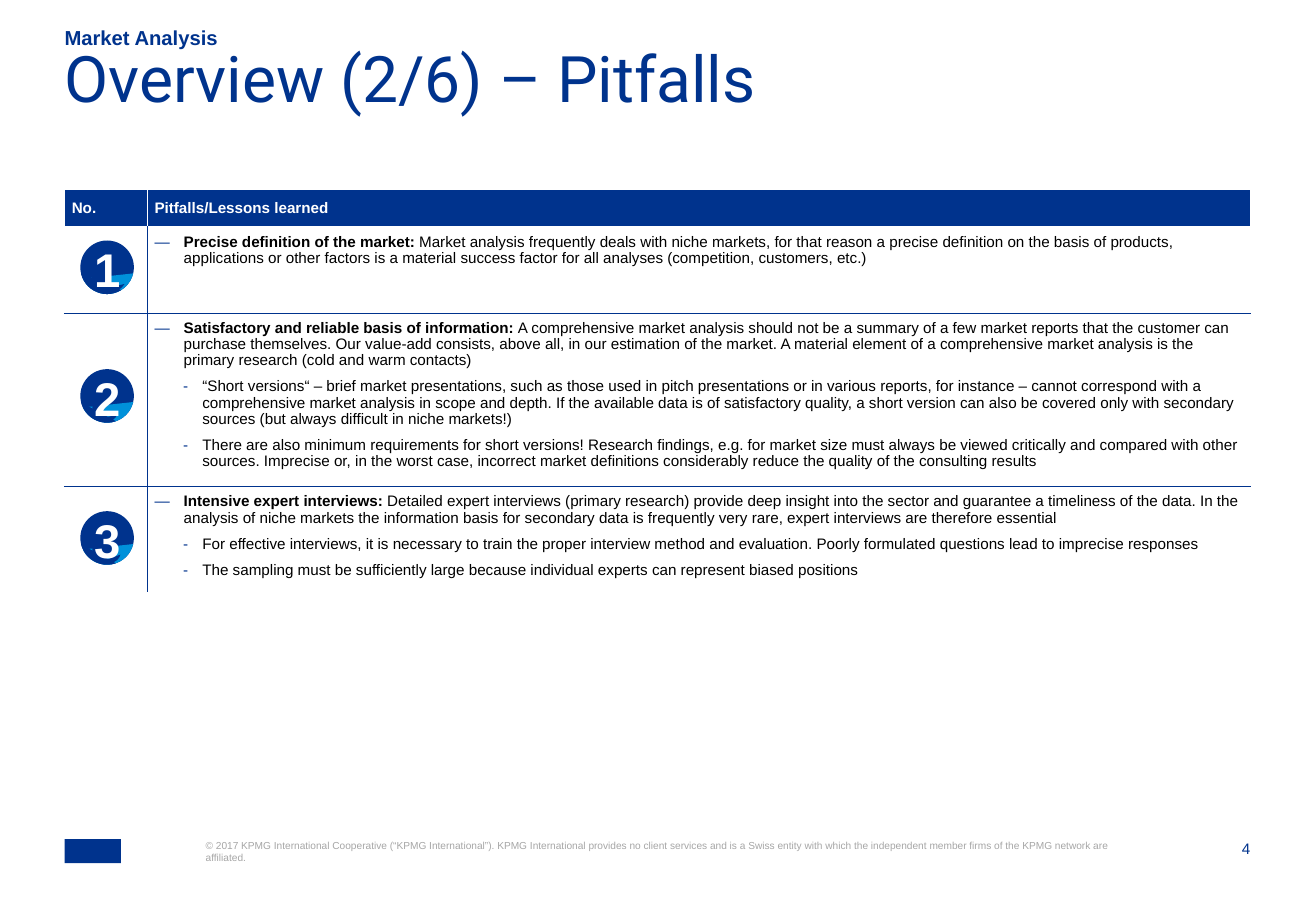
from lxml import etree
from pptx import Presentation
from pptx import util as u
from pptx.dml.color import RGBColor
from pptx.enum import shapes, text
from pptx.oxml import ns

NAVY = RGBColor(0x00, 0x33, 0x8D)
SKY = RGBColor(0x00, 0x91, 0xDA)
GREY = RGBColor(0xA6, 0xA6, 0xA6)
BLACK = RGBColor(0, 0, 0)
WHITE = RGBColor(255, 255, 255)

LEFT, WIDTH = 1.35, 24.79
COLUMN_WIDTHS = [1.73, 23.06]
ROW_HEIGHTS = [0.79, 1.8, 3.42, 2.21]
HEADINGS = ["No.", "Pitfalls/Lessons learned"]

# Each pitfall: bold lead, explanation, sub-points
PITFALLS = [
    ("Precise definition of the market: ",
     "Market analysis frequently deals with niche markets, for that reason a precise definition on the basis of "
     "products, applications or other factors is a material success factor for all analyses (competition, "
     "customers, etc.)", []),
    ("Satisfactory and reliable basis of information: ",
     "A comprehensive market analysis should not be a summary of a few market reports that the customer can "
     "purchase themselves. Our value-add consists, above all, in our estimation of the market. A material element "
     "of a comprehensive market analysis is the primary research (cold and warm contacts)",
     ["“Short versions“ – brief market presentations, such as those used in pitch presentations or in various "
      "reports, for instance – cannot correspond with a comprehensive market analysis in scope and depth. If the "
      "available data is of satisfactory quality, a short version can also be covered only with secondary sources "
      "(but always difficult in niche markets!)",
      "There are also minimum requirements for short versions! Research findings, e.g. for market size must always "
      "be viewed critically and compared with other sources. Imprecise or, in the worst case, incorrect market "
      "definitions considerably reduce the quality of the consulting results"]),
    ("Intensive expert interviews: ",
     "Detailed expert interviews (primary research) provide deep insight into the sector and guarantee a timeliness "
     "of the data. In the analysis of niche markets the information basis for secondary data is frequently very "
     "rare, expert interviews are therefore essential",
     ["For effective interviews, it is necessary to train the proper interview method and evaluation. Poorly "
      "formulated questions lead to imprecise responses",
      "The sampling must be sufficiently large because individual experts can represent biased positions"]),
]

# Each badge: top, start angle of the dark side, corners of the digit's mask,
# then box, rotation and start angle of the lower mask
BADGES = [
    (5.03, 58.23, [(0.25, 0.13), (0.64, 0.13), (0.64, 0.91), (0.25, 0.91)],
     (0.13, 0.25, 0.86, 0.86), 315, 77.05),
    (7.72, 70.86, [(0.25, 0.13), (0.74, 0.15), (0.46, 0.91), (0.25, 0.91)],
     (0.13, 0.38, 0.58, 0.79), 306.1, 81.95),
    (10.69, 71, [(0.25, 0.13), (0.66, 0.15), (0.66, 0.89), (0.25, 0.91)],
     (0.18, 0.38, 0.58, 0.79), 298, 81.95),
]


def apply(target, values):
    for name, value in values.items():
        setattr(target, name, value)


def add_span(para, words, size, color, bold=False, font="Arial"):
    span = para.add_run()
    span.text = words
    apply(span.font, {"name": font, "size": u.Pt(size), "bold": bold})
    span.font.color.rgb = color


def add_text(page, box, words, size, color, para_format=None, frame_format=None, **font):
    frame = page.shapes.add_textbox(*map(u.Cm, box)).text_frame
    apply(frame, {"word_wrap": True, "margin_left": 0, "margin_right": 0,
                  "margin_top": 0, "margin_bottom": 0, **(frame_format or {})})
    para = frame.paragraphs[0]
    apply(para, para_format or {})
    add_span(para, words, size, color, **font)


def paint(shape, color):
    shape.shadow.inherit = False
    shape.fill.solid()
    shape.fill.fore_color.rgb = color
    shape.line.fill.background()


def add_filled(page, kind, box, color, angles=(), rotation=0):
    shape = page.shapes.add_shape(kind, *map(u.Cm, box))
    paint(shape, color)
    shape.rotation = rotation
    for index, angle in enumerate(angles):
        shape.adjustments[index] = angle * 0.6  # degrees to adjustment units
    return shape


def add_bullet(para, mark, margin, hanging):
    props = para._p.get_or_add_pPr()
    props.set("marL", str(u.Cm(margin)))
    props.set("indent", str(-u.Cm(hanging)))
    tint = etree.SubElement(props, ns.qn("a:buClr"))
    etree.SubElement(tint, ns.qn("a:srgbClr"), val=str(NAVY))
    etree.SubElement(props, ns.qn("a:buFont"), typeface="Arial")
    etree.SubElement(props, ns.qn("a:buChar"), char=mark)


def style_cell(cell, fill, borders):
    """Borders run left, right, top, bottom."""
    props = cell._tc.get_or_add_tcPr()
    for side, color in zip("LRTB", borders):
        line = etree.SubElement(props, ns.qn(f"a:ln{side}"), w=str(u.Pt(1)))
        solid = etree.SubElement(line, ns.qn("a:solidFill"))
        etree.SubElement(solid, ns.qn("a:srgbClr"), val=str(color))
    cell.fill.solid()
    cell.fill.fore_color.rgb = fill
    margin = u.Cm(0.15)
    apply(cell, {"margin_left": margin, "margin_right": margin,
                 "margin_top": margin, "margin_bottom": margin})


def add_header(page, left, top, width):
    add_text(page, (left, top, width, 0.48), "Market Analysis", 12, NAVY, bold=True,
             frame_format={"vertical_anchor": text.MSO_ANCHOR.BOTTOM})
    add_text(page, (left, top + 0.68, width, 2), "Overview (2/6) – Pitfalls", 38, NAVY,
             {"line_spacing": 0.7}, font="Roboto")


def add_pitfall_table(page, left, top, width):
    table = page.shapes.add_table(len(ROW_HEIGHTS), len(COLUMN_WIDTHS), u.Cm(left), u.Cm(top),
                                  u.Cm(width), u.Cm(sum(ROW_HEIGHTS))).table
    apply(table, {"first_row": False, "horz_banding": False})
    for column, size in zip(table.columns, COLUMN_WIDTHS):
        column.width = u.Cm(size)
    for row, size in zip(table.rows, ROW_HEIGHTS):
        row.height = u.Cm(size)

    # Heading row
    for column, heading in enumerate(HEADINGS):
        cell = table.cell(0, column)
        style_cell(cell, NAVY, [WHITE] * 4)
        cell.vertical_anchor = text.MSO_ANCHOR.MIDDLE
        para = cell.text_frame.paragraphs[0]
        para.line_spacing = 0.95
        add_span(para, heading, 9, WHITE, bold=True)

    # Pitfall rows
    for row, (lead, explanation, points) in enumerate(PITFALLS, 1):
        above = WHITE if row == 1 else NAVY
        below = WHITE if row == len(PITFALLS) else NAVY
        style_cell(table.cell(row, 0), WHITE, [WHITE, NAVY, above, below])
        cell = table.cell(row, 1)
        style_cell(cell, WHITE, [NAVY, WHITE, above, below])
        frame = cell.text_frame
        for index, words in enumerate([explanation, *points]):
            para = frame.add_paragraph() if index else frame.paragraphs[0]
            apply(para, {"level": min(index, 1), "line_spacing": 0.95, "space_after": u.Pt(6)})
            if index:
                add_bullet(para, "-", 1, 0.4)
            else:
                add_bullet(para, "—", 0.61, 0.61)
                add_span(para, lead, 9, BLACK, bold=True)
            add_span(para, words, 9, BLACK)


def add_badge(page, left, top, number, dark_start, corners, lower, rotation, lower_start):
    circle = (left, top, 1.12, 1.12)
    chord = shapes.MSO_SHAPE.CHORD
    add_filled(page, shapes.MSO_SHAPE.OVAL, circle, NAVY)
    add_filled(page, chord, circle, SKY, (13.23, 154.41))
    add_filled(page, chord, circle, NAVY, (dark_start, 166.04))
    # Masks that shape the long shadow of the digit
    points = [(u.Cm(left + x), u.Cm(top + y)) for x, y in corners]
    builder = page.shapes.build_freeform(*points[0])
    builder.add_line_segments(points[1:], close=True)
    paint(builder.convert_to_shape(), NAVY)
    x, y, width, height = lower
    add_filled(page, chord, (left + x, top + y, width, height), NAVY, (lower_start, 166.04), rotation)
    add_text(page, (left + 0.02, top, 1.08, 1.2), str(number), 28, WHITE,
             {"alignment": text.PP_ALIGN.CENTER}, {"word_wrap": False}, bold=True)


def add_footer(page, left, top, width):
    add_filled(page, shapes.MSO_SHAPE.RECTANGLE, (left, top, 1.18, 0.5), NAVY)
    add_text(page, (left + 2.95, top, 19.02, 1.04),
             "© 2017 KPMG International Cooperative (“KPMG International”). KPMG International provides no client "
             "services and is a Swiss entity with which the independent member firms of the KPMG network are "
             "affiliated.", 6, GREY)
    add_text(page, (left + width - 1.1, top, 1.1, 0.4), "4", 9, NAVY,
             {"alignment": text.PP_ALIGN.RIGHT})


def main():
    deck = Presentation()
    apply(deck, {"slide_width": u.Cm(27.51), "slide_height": u.Cm(19.05)})
    page = deck.slides.add_slide(deck.slide_layouts[6])
    add_footer(page, LEFT, 17.55, WIDTH)
    add_header(page, LEFT, 0.56, WIDTH)
    add_pitfall_table(page, LEFT, 3.96, WIDTH)
    for number, (top, *details) in enumerate(BADGES, 1):
        add_badge(page, LEFT + 0.33, top, number, *details)
    deck.save("out.pptx")


if __name__ == "__main__":
    main()
